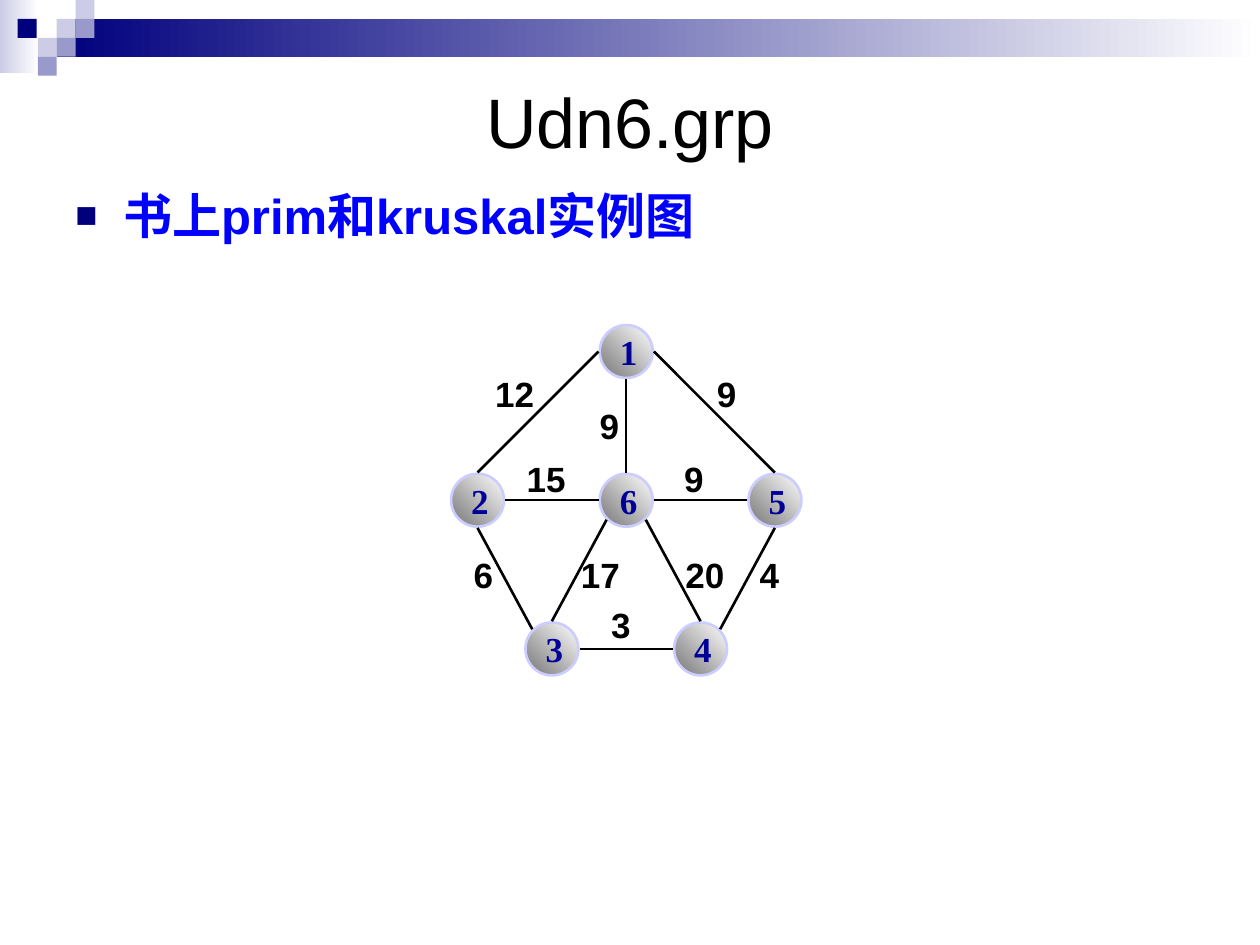
from math import cos, radians, sin

from lxml.etree import SubElement
from pptx import Presentation
from pptx.dml.color import RGBColor
from pptx.enum.shapes import MSO_CONNECTOR, MSO_SHAPE
from pptx.enum.text import MSO_ANCHOR, MSO_AUTO_SIZE, PP_ALIGN
from pptx.oxml.ns import qn
from pptx.util import Inches, Pt

COLORS = {
    "navy": "00007D", "lilac": "CCCCE6", "violet": "9999CC", "white": "FFFFFF",
    "black": "000000", "blue": "0000FF", "grey": "767676",
    "rim": "CCCCFF", "digit": "000099",
}

# Content
TITLE = "Udn6.grp"
BULLET = "书上prim和kruskal实例图"

# Header bands: left, top, width, height, colour at the left edge
BANDS = [(0, 0, 0.31, 0.58, "lilac"), (0.45, 0.15, 9.55, 0.3, "navy")]
# Header squares: left, top, colour
SQUARES = [
    (0.45, 0.15, "lilac"), (0.6, 0, "lilac"), (0.6, 0.15, "violet"),
    (0.3, 0.3, "lilac"), (0.14, 0.15, "navy"), (0.45, 0.3, "violet"),
    (0.3, 0.45, "violet"),
]
SQUARE = 0.15

# Graph nodes: column and row, in steps from node 6
NODES = {"1": (0, -1), "2": (-1, 0), "3": (-0.5, 1),
         "4": (0.5, 1), "5": (1, 0), "6": (0, 0)}
CENTER_X, CENTER_Y, STEP, DIAMETER = 4.97, 3.97, 1.18, 0.42
EDGE_RADIUS = 0.22  # edges stop just outside the node rim

# Edges: node, angle it leaves at, node, angle it arrives at (clockwise from right),
# weight, left and top of the weight label
EDGES = [
    ("1", 180, "2", 270, "12", 3.93, 2.96),
    ("1", 0, "5", 270, "9", 5.69, 2.96),
    ("1", 90, "6", 270, "9", 4.76, 3.21),
    ("2", 0, "6", 180, "15", 4.18, 3.63),
    ("6", 0, "5", 180, "9", 5.43, 3.63),
    ("2", 90, "3", 225, "6", 3.76, 4.39),
    ("6", 135, "3", 270, "17", 4.61, 4.39),
    ("6", 45, "4", 270, "20", 5.44, 4.39),
    ("5", 90, "4", 315, "4", 6.03, 4.39),
    ("3", 0, "4", 180, "3", 4.85, 4.79),
]
DIGIT_WIDTH, LABEL_HEIGHT = 0.155, 0.33


def rgb(name):
    return RGBColor.from_string(COLORS[name])


def set_font(para, size, color, name="Arial", bold=True):
    para.font.size, para.font.name, para.font.bold = Pt(size), name, bold
    para.font.color.rgb = rgb(color)


def add_shape(slide, kind, left, top, width, height):
    shape = slide.shapes.add_shape(kind, *map(Inches, (left, top, width, height)))
    shape.shadow.inherit = False
    return shape


def fill_solid(shape, color):
    shape.fill.solid()
    shape.fill.fore_color.rgb = rgb(color)


def fill_gradient(shape, start, end, angle):
    shape.fill.gradient()
    shape.fill.gradient_angle = angle
    for stop, color in zip(shape.fill.gradient_stops, (start, end)):
        stop.color.rgb = rgb(color)


def add_header(slide):
    for left, top, width, height, color in BANDS:
        band = add_shape(slide, MSO_SHAPE.RECTANGLE, left, top, width, height)
        fill_gradient(band, "white", color, 180)
        band.line.fill.background()
    for left, top, color in SQUARES:
        square = add_shape(slide, MSO_SHAPE.RECTANGLE, left, top, SQUARE, SQUARE)
        fill_solid(square, color)
        square.line.fill.background()


def add_title(slide):
    title = slide.shapes.title
    title.left, title.top, title.width, title.height = map(Inches, (0.5, 0.5, 9, 0.92))
    title.text_frame.text = TITLE
    title.text_frame.vertical_anchor = MSO_ANCHOR.MIDDLE
    para = title.text_frame.paragraphs[0]
    para.alignment = PP_ALIGN.CENTER
    set_font(para, 40, "black", bold=False)


def add_bullet(slide):
    box = slide.shapes.add_textbox(*map(Inches, (0.5, 1.42, 9, 5.33)))
    box.text_frame.word_wrap = True
    para = box.text_frame.paragraphs[0]
    para.text = BULLET
    para.space_before = Pt(7)
    set_font(para, 28, "blue")
    # Square bullet with a hanging indent, placed ahead of the default run properties
    props = para._p.get_or_add_pPr()
    props.set("marL", str(Inches(0.38)))
    props.set("indent", str(-Inches(0.38)))
    defaults = props.find(qn("a:defRPr"))
    bullet_color = SubElement(props, qn("a:buClr"))
    SubElement(bullet_color, qn("a:srgbClr"), val=COLORS["navy"])
    SubElement(props, qn("a:buSzPct"), val="75000")
    SubElement(props, qn("a:buFont"), typeface="Arial")
    SubElement(props, qn("a:buChar"), char="■")
    if defaults is not None:
        props.append(defaults)


def node_center(name):
    column, row = NODES[name]
    return CENTER_X + column * STEP, CENTER_Y + row * STEP


def rim_point(name, angle):
    x, y = node_center(name)
    turn = radians(angle)
    return Inches(x + EDGE_RADIUS * cos(turn)), Inches(y + EDGE_RADIUS * sin(turn))


def add_edge(slide, start, start_angle, end, end_angle):
    edge = slide.shapes.add_connector(
        MSO_CONNECTOR.STRAIGHT, *rim_point(start, start_angle), *rim_point(end, end_angle))
    edge.line.color.rgb = rgb("black")
    edge.line.width = Pt(1.5)
    SubElement(edge._element.spPr, qn("a:effectLst"))


def add_node(slide, name):
    x, y = node_center(name)
    node = add_shape(slide, MSO_SHAPE.OVAL, x - DIAMETER / 2, y - DIAMETER / 2,
                     DIAMETER, DIAMETER)
    fill_gradient(node, "grey", "white", 45)
    node.line.color.rgb = rgb("rim")
    node.line.width = Pt(1.5)
    frame = node.text_frame
    frame.text = name
    frame.word_wrap = False
    frame.vertical_anchor = MSO_ANCHOR.MIDDLE
    frame.paragraphs[0].alignment = PP_ALIGN.LEFT
    set_font(frame.paragraphs[0], 20, "digit", "Times New Roman")


def add_weight(slide, weight, left, top):
    box = slide.shapes.add_textbox(
        *map(Inches, (left, top, DIGIT_WIDTH * len(weight), LABEL_HEIGHT)))
    frame = box.text_frame
    frame.margin_left = frame.margin_right = frame.margin_top = frame.margin_bottom = 0
    frame.word_wrap = False
    frame.auto_size = MSO_AUTO_SIZE.SHAPE_TO_FIT_TEXT
    frame.text = weight
    set_font(frame.paragraphs[0], 20, "black")


def main():
    deck = Presentation()
    deck.slide_width, deck.slide_height = Inches(10), Inches(7.5)
    slide = deck.slides.add_slide(deck.slide_layouts[5])
    add_header(slide)
    add_title(slide)
    add_bullet(slide)
    # Weighted graph
    for name in NODES:
        add_node(slide, name)
    for start, start_angle, end, end_angle, weight, left, top in EDGES:
        add_edge(slide, start, start_angle, end, end_angle)
        add_weight(slide, weight, left, top)
    deck.save("out.pptx")


if __name__ == "__main__":
    main()
